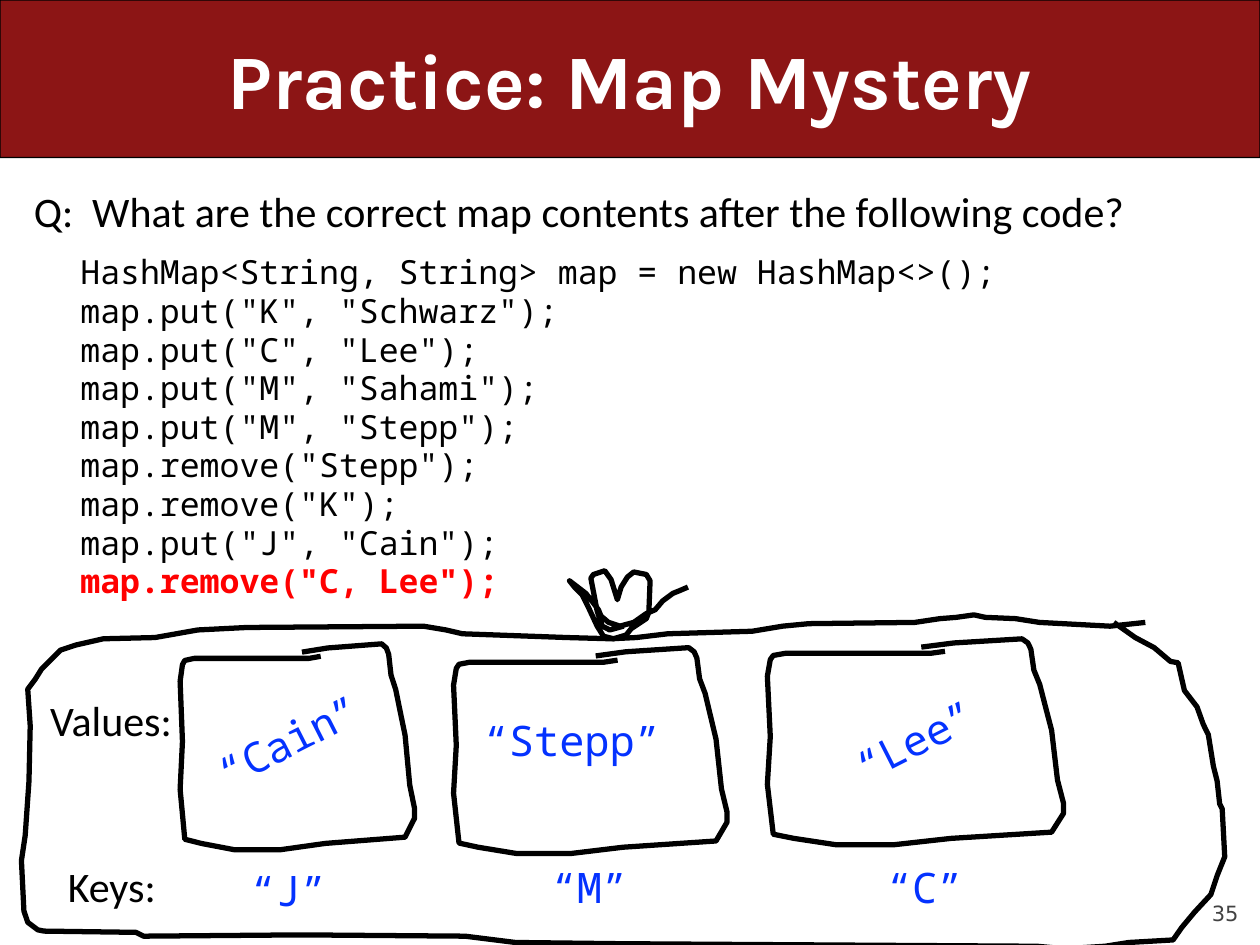
from dataclasses import dataclass
from typing import Optional

from pptx import Presentation
from pptx.dml.color import RGBColor
from pptx.enum.shapes import MSO_SHAPE
from pptx.enum.text import MSO_ANCHOR, PP_ALIGN
from pptx.util import Emu, Inches, Pt

ROUNDED = MSO_SHAPE.ROUNDED_RECTANGLE
MIDDLE, BOTTOM, TOP = MSO_ANCHOR.MIDDLE, MSO_ANCHOR.BOTTOM, MSO_ANCHOR.TOP
LEFT, CENTER, RIGHT = PP_ALIGN.LEFT, PP_ALIGN.CENTER, PP_ALIGN.RIGHT

WIDTH, HEIGHT = Inches(10), Inches(7.5)
COLUMNS, ROWS = 100, 75
BLACK, WHITE, CARDINAL = "000000", "FFFFFF", "8C1515"
BLUE, RED, GREY = "0432FF", "FF0000", "424242"
SANS, MONO = "Calibri", "Noto Sans Mono"

BODY = {"name": SANS, "size": Pt(24), "bold": False}
CODE = {"name": MONO, "size": Pt(19), "bold": False}
ENTRY = {"name": MONO, "size": Pt(24), "bold": False}
TITLE = {"name": "Karla", "size": Pt(44), "bold": True}
NUMBER = {"name": "DejaVu Sans", "size": Pt(12), "bold": False}


@dataclass
class Area:
    column: float
    row: float
    columns: float
    rows: float


@dataclass
class Label:
    text: str
    area: Area
    font: dict
    color: str
    rotation: float = 0
    fill: Optional[str] = None


@dataclass
class Bucket:
    area: Area
    value: Label
    key: Label


QUESTION = "Q:  What are the correct map contents after the following code?"
CODE_LINES = [
    "HashMap<String, String> map = new HashMap<>();",
    'map.put("K", "Schwarz");',
    'map.put("C", "Lee");',
    'map.put("M", "Sahami");',
    'map.put("M", "Stepp");',
    'map.remove("Stepp");',
    'map.remove("K");',
    'map.put("J", "Cain");',
    'map.remove("C, Lee");',
]

BUCKET_OUTLINE = [
    (.6, .06), (.55, .07), (.17, .07), (.06, .07), (.02, .08), (.01, .1), (0, .18),
    (.01, .47), (0, .7), (.02, .94), (.09, .96), (.23, .99), (.43, .99), (.62, .96),
    (.96, .93), (1, .84), (1, .79), (.98, .68), (.96, .44), (.94, .33), (.92, .22),
    (.9, .15), (.89, .05), (.88, .02), (.86, 0), (.63, .02), (.52, .04),
]
MAP_OUTLINE = [
    (90.9, 49.4), (88.1, 49.7), (82.5, 49.4), (80.6, 49.1), (78.2, 49), (77.3, 48.8),
    (75.9, 49), (74.6, 49.1), (72.6, 49.4), (64.2, 49.5), (62.1, 49.7), (59.7, 50.1),
    (53, 50.3), (50.5, 50.6), (48.5, 50.7), (45, 50.6), (36.7, 50.3), (35.4, 50),
    (33.6, 49.7), (19.6, 49.8), (15.7, 50), (12.3, 50.6), (8.2, 50.7), (6, 51.2),
    (4.8, 51.6), (3.3, 53.1), (2.8, 53.9), (2.2, 54.7), (2.4, 57.6), (2.3, 62),
    (2, 66.3), (1.7, 68.3), (1.9, 72.3), (2.2, 73.2), (3, 73.8), (3.5, 73.9),
    (10.8, 74), (11.4, 74.3), (23.9, 74.2), (36.9, 74.3), (40.9, 74.8), (49.4, 74.9),
    (82.3, 75.1), (84.5, 75.3), (87.7, 75.1), (89.6, 74.8), (93.1, 74.6),
    (93.8, 73.6), (94.8, 72.4), (96.1, 71), (96.6, 69.5), (97.2, 68), (97, 64.2),
    (96.8, 63.8), (96.6, 62), (96.3, 60.8), (95.9, 58.3), (95.5, 57.5), (95, 56.1),
    (94, 54.8), (93.5, 52.6), (92.9, 52.5), (91.6, 51.4), (90.1, 50.6), (88.4, 49.4),
]
BOW_OUTLINE = [
    (49.5, 49.7), (48.4, 50), (47.8, 49.7), (47.4, 48.5), (46.9, 45.9), (47.1, 45.6),
    (48, 45.3), (48.5, 46), (49, 47.6), (49.3, 46.6), (49.8, 45.8), (50.3, 45.4),
    (51.3, 45.6), (51.6, 46.1), (51.5, 48.6), (51.3, 49.1), (50.1, 49.9), (49.7, 50.4),
    (48.7, 50.7), (47.9, 50.5), (47.4, 49.7), (46.7, 48.2), (46.2, 47.2), (45.6, 46.6),
    (45.2, 46.1), (46.5, 47.1), (46.9, 47.6), (47.5, 48.4), (47.7, 48.9), (48.3, 49.4),
    (49.2, 49.7), (50.3, 49.4), (51.3, 48.7), (52, 48.4), (52.6, 47.7), (53.4, 47.1),
    (53.9, 46.9), (54.6, 46.6),
]

LABELS = [
    Label("Keys:", Area(4.4, 67.8, 10.4, 4.8), BODY, BLACK),
    Label("Values:", Area(3, 54.6, 13, 4.8), BODY, BLACK),
]
BUCKETS = [
    Bucket(Area(14.3, 51.1, 18.6, 16.5),
           Label("“Cain”", Area(15.9, 56.2, 14.1, 5), ENTRY, BLUE, 333.1),
           Label("“J”", Area(18.9, 68.1, 8.1, 5), ENTRY, BLUE)),
    Bucket(Area(36, 51.4, 21.7, 16.5),
           Label("“Stepp”", Area(37.4, 56.2, 18.5, 5), ENTRY, BLUE, 0, WHITE),
           Label("“M”", Area(42.8, 67.9, 8.1, 5), ENTRY, BLUE)),
    Bucket(Area(60.9, 50.7, 23.5, 16.5),
           Label("“Lee”", Area(66.6, 56.2, 12.1, 5), ENTRY, BLUE, 333.1),
           Label("“C”", Area(69.4, 67.9, 8.1, 5), ENTRY, BLUE)),
]


def rgb(color: str) -> RGBColor:
    return RGBColor.from_string(color)


def across(columns: float) -> Emu:
    return Emu(round(WIDTH * columns / COLUMNS))


def down(rows: float) -> Emu:
    return Emu(round(HEIGHT * rows / ROWS))


def place(area: Area) -> tuple:
    return across(area.column), down(area.row), across(area.columns), down(area.rows)


def write(para, text: str, font: dict, color: str, align=LEFT) -> None:
    para.alignment = align
    span = para.add_run()
    span.text = text
    for name, value in font.items():
        setattr(span.font, name, value)
    span.font.color.rgb = rgb(color)


def add_label(page, label: Label) -> None:
    box = page.shapes.add_textbox(*place(label.area))
    box.rotation = label.rotation
    box.text_frame.word_wrap = False
    if label.fill:
        box.fill.solid()
        box.fill.fore_color.rgb = rgb(label.fill)
    write(box.text_frame.paragraphs[0], label.text, label.font, label.color)


def paint(shape, fill: Optional[str], weight: float) -> None:
    shape.shadow.inherit = False
    if fill:
        shape.fill.solid()
        shape.fill.fore_color.rgb = rgb(fill)
    else:
        shape.fill.background()
    shape.line.color.rgb = rgb(BLACK)
    shape.line.width = Pt(weight)


def add_outline(page, points: list, fill: Optional[str] = None) -> None:
    spots = [(across(column), down(row)) for column, row in points]
    builder = page.shapes.build_freeform(*spots[0])
    builder.add_line_segments(spots[1:], close=False)
    paint(builder.convert_to_shape(), fill, 3)


def add_bucket(page, bucket: Bucket) -> None:
    area = bucket.area
    points = [(area.column + x * area.columns, area.row + y * area.rows)
              for x, y in BUCKET_OUTLINE]
    add_outline(page, points, WHITE)
    add_label(page, bucket.value)
    add_label(page, bucket.key)


def add_heading(page) -> None:
    title = page.shapes.title
    title.left, title.top, title.width, title.height = place(Area(5, 0, 90, 12.5))
    title.text_frame.vertical_anchor = MIDDLE
    write(title.text_frame.paragraphs[0], "Practice: Map Mystery", TITLE, WHITE, CENTER)
    band = page.shapes.add_shape(ROUNDED, *place(Area(0, 0, 100, 12.5)))
    band.adjustments[0] = 0.001
    paint(band, CARDINAL, 0.75)
    title.element.addprevious(band.element)


def add_question(page) -> None:
    frame = page.shapes.add_textbox(*place(Area(1.7, 14.2, 96.7, 56.7))).text_frame
    frame.word_wrap = True
    frame.vertical_anchor = TOP
    write(frame.paragraphs[0], QUESTION, BODY, BLACK)
    for index, line in enumerate(CODE_LINES):
        para = frame.add_paragraph()
        para.line_spacing = Pt(22.05)
        para.space_before = Pt(0 if index else 10)
        para._p.get_or_add_pPr().set("marL", str(across(3.7)))
        last = index == len(CODE_LINES) - 1
        write(para, line, {**CODE, "bold": last}, RED if last else BLACK)


def add_page_number(page) -> None:
    frame = page.shapes.add_textbox(*place(Area(90, 69.5, 8.3, 4))).text_frame
    for side in ("left", "top", "right", "bottom"):
        setattr(frame, f"margin_{side}", 0)
    frame.word_wrap = True
    frame.vertical_anchor = BOTTOM
    write(frame.paragraphs[0], "35", NUMBER, GREY, RIGHT)


def main() -> None:
    deck = Presentation()
    deck.slide_width, deck.slide_height = WIDTH, HEIGHT
    page = deck.slides.add_slide(deck.slide_layouts.get_by_name("Title Only"))
    add_heading(page)
    add_page_number(page)
    add_question(page)
    add_outline(page, MAP_OUTLINE)
    for label in LABELS:
        add_label(page, label)
    for bucket in BUCKETS:
        add_bucket(page, bucket)
    add_outline(page, BOW_OUTLINE)
    deck.save("out.pptx")


if __name__ == "__main__":
    main()
